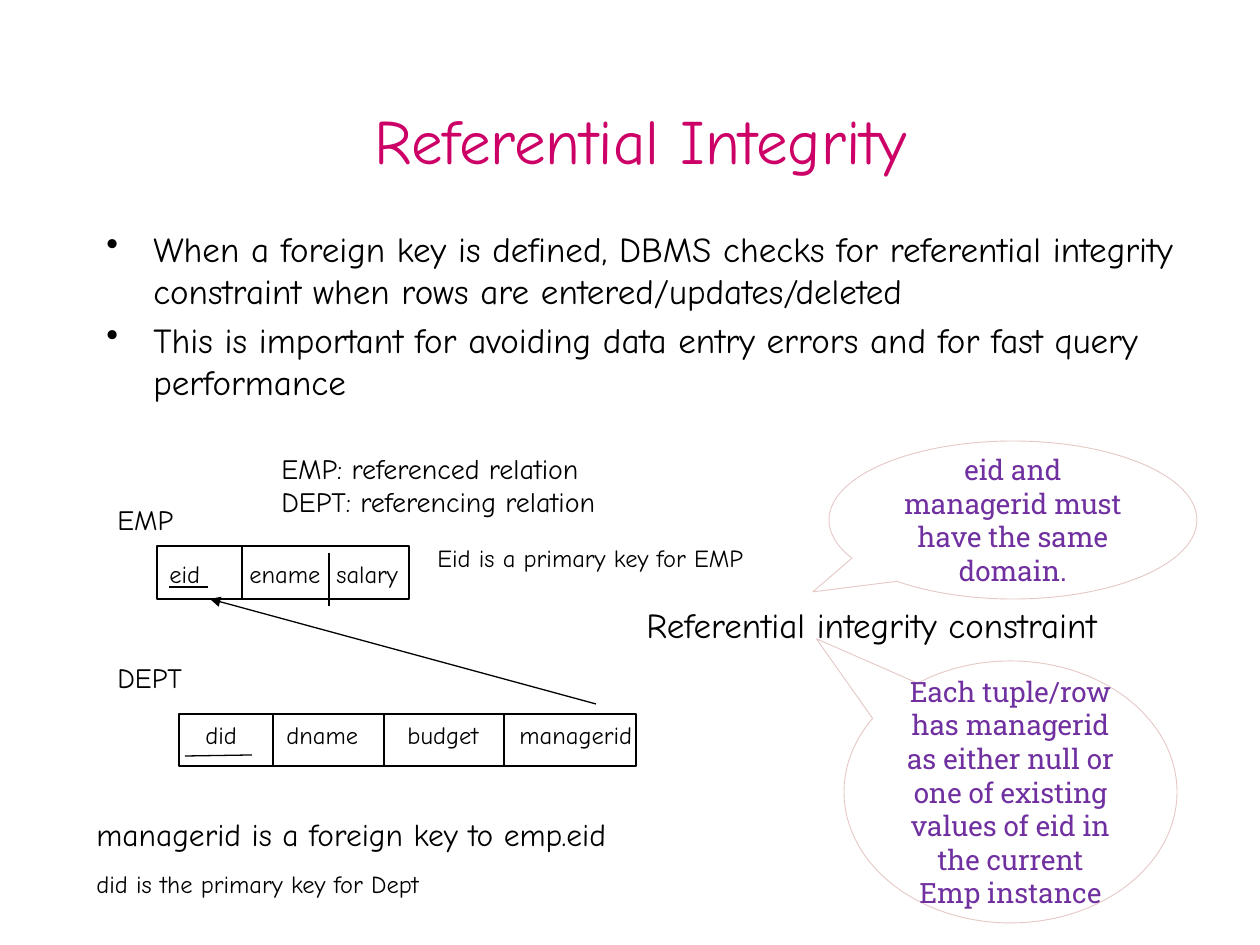
from lxml import etree
from pptx import Presentation, util as u
from pptx.dml.color import RGBColor
from pptx.enum import shapes, text
from pptx.oxml.ns import qn

PX = 914400 / 126  # EMU in one px
COLORS = {"title": "CC0066", "ink": "000000", "paper": "FFFFFF",
          "callout": "7030A0", "edge": "9B2D1F"}
HAND, SLAB = "Comic Neue", "Roboto Slab"

# Content: boxes are (left, top, width, height) in px
TITLE = ("Referential Integrity", (105, 63, 1071, 152))
BULLETS = ["When a foreign key is defined, DBMS checks for referential integrity "
           "constraint when rows are entered/updates/deleted",
           "This is important for avoiding data entry errors and for fast query performance"]
BULLET_BOX = (94, 221, 1124, 188)
LABELS = [  # lines, box, size, wrap
    (["EMP"], (105, 496, 83, 47), 16, False),
    (["DEPT"], (105, 654, 97, 47), 16, False),
    (["managerid is a foreign key to emp.eid"], (84, 809, 590, 50), 18, False),
    (["EMP: referenced relation", "DEPT: referencing relation"], (269, 445, 483, 81), 16, True),
    (["Referential integrity constraint"], (634, 597, 561, 55), 20, True),
    (["Eid is a primary key for EMP"], (425, 537, 354, 43), 14, False),
    (["did is the primary key for Dept"], (84, 863, 386, 43), 14, False),
]
RELATIONS = [  # frame, attribute row, text box, tab stops, dividers (x, drop)
    dict(frame=(157, 546, 252, 53), row=[("eid ", True), ("\tename\tsalary", False)],
         box=(157, 553, 267, 43), tabs=[80, 167],
         dividers=[(242, 0), (329, 7), (409, 0)]),
    dict(frame=(179, 714, 457, 52), row=[("\tdid\tdname\tbudget\tmanagerid", False)],
         box=(168, 714, 535, 43), tabs=[25, 106, 227, 339],
         dividers=[(273, 0), (384, 0), (504, 0)]),
]
DID_UNDERLINE = (185, 756, 252, 755)
REFERENCE_ARROW = (596, 704, 210, 599)
CALLOUTS = [
    ("eid and managerid must have the same domain.", (829, 441, 368, 158), (-0.544, 0.455)),
    ("Each tuple/row has managerid as either null or one of existing values of eid "
     "in the current Emp instance", (844, 661, 333, 262), (-0.583, -0.585)),
]


def px(n):
    return u.Emu(round(n * PX))


def rgb(name):
    return RGBColor.from_string(COLORS[name])


prs = Presentation()
prs.slide_width, prs.slide_height = px(1260), px(945)
s = prs.slides.add_slide(prs.slide_layouts[6])


def write(sp, paragraphs, size=14, font=HAND, color="ink", align=text.PP_ALIGN.LEFT,
          anchor=text.MSO_ANCHOR.TOP, wrap=True, bullet=False, tabs=()):
    """Fill a shape; each paragraph is a string or a list of (text, underlined)."""
    tf = sp.text_frame
    tf.word_wrap, tf.vertical_anchor = wrap, anchor
    for i, para in enumerate(paragraphs):
        p = tf.add_paragraph() if i else tf.paragraphs[0]
        p.alignment = align
        pPr = p._p.get_or_add_pPr()
        if bullet:
            p.space_before = u.Pt(size * 0.2)
            indent = px(47)
            pPr.set("marL", str(indent))
            pPr.set("indent", str(-indent))
            etree.SubElement(pPr, qn("a:buChar"), char="•")
        if tabs:
            stops = etree.SubElement(pPr, qn("a:tabLst"))
            for t in tabs:
                etree.SubElement(stops, qn("a:tab"), pos=str(px(t)), algn="l")
        for words, underlined in [(para, False)] if isinstance(para, str) else para:
            r = p.add_run()
            r.text = words
            r.font.size, r.font.name = u.Pt(size), font
            r.font.color.rgb = rgb(color)
            if underlined:
                r.font.underline = True


def textbox(box, paragraphs, **fmt):
    write(s.shapes.add_textbox(*map(px, box)), paragraphs, **fmt)


def shape(kind, box, line, width, fill=None):
    sp = s.shapes.add_shape(kind, *map(px, box))
    sp.shadow.inherit = False
    sp.line.color.rgb, sp.line.width = rgb(line), u.Pt(width)
    if fill:
        sp.fill.solid()
        sp.fill.fore_color.rgb = rgb(fill)
    else:
        sp.fill.background()
    return sp


def line(ends, arrow=False):
    c = s.shapes.add_connector(shapes.MSO_CONNECTOR.STRAIGHT, *map(px, ends))
    c.line.color.rgb, c.line.width = rgb("ink"), u.Pt(0.75)
    if arrow:
        etree.SubElement(c.line._get_or_add_ln(), qn("a:tailEnd"), type="triangle")
    etree.SubElement(c._element.spPr, qn("a:effectLst"))


# Title and bullets
textbox(TITLE[1], [TITLE[0]], size=36, color="title",
        align=text.PP_ALIGN.CENTER, anchor=text.MSO_ANCHOR.MIDDLE)
textbox(BULLET_BOX, BULLETS, size=20, bullet=True)

# Relation schemas
for rel in RELATIONS:
    left, top, width, height = rel["frame"]
    shape(shapes.MSO_SHAPE.RECTANGLE, rel["frame"], "ink", 0.75)
    textbox(rel["box"], [rel["row"]], tabs=rel["tabs"])
    for x, drop in rel["dividers"]:
        line((x, top + drop, x, top + height + drop))
line(DID_UNDERLINE)
line(REFERENCE_ARROW, arrow=True)

# Callouts with a faint outline
for words, box, tip in CALLOUTS:
    sp = shape(shapes.MSO_SHAPE.OVAL_CALLOUT, box, "edge", 0.5, fill="paper")
    sp.adjustments[0], sp.adjustments[1] = tip
    edge = sp.line._get_or_add_ln().find(".//" + qn("a:srgbClr"))
    etree.SubElement(edge, qn("a:alpha"), val="25000")
    write(sp, [words], size=16, font=SLAB, color="callout",
          align=text.PP_ALIGN.CENTER, anchor=text.MSO_ANCHOR.MIDDLE)

# Labels and notes
for lines, box, size, wrap in LABELS:
    textbox(box, lines, size=size, wrap=wrap)

prs.save("out.pptx")
